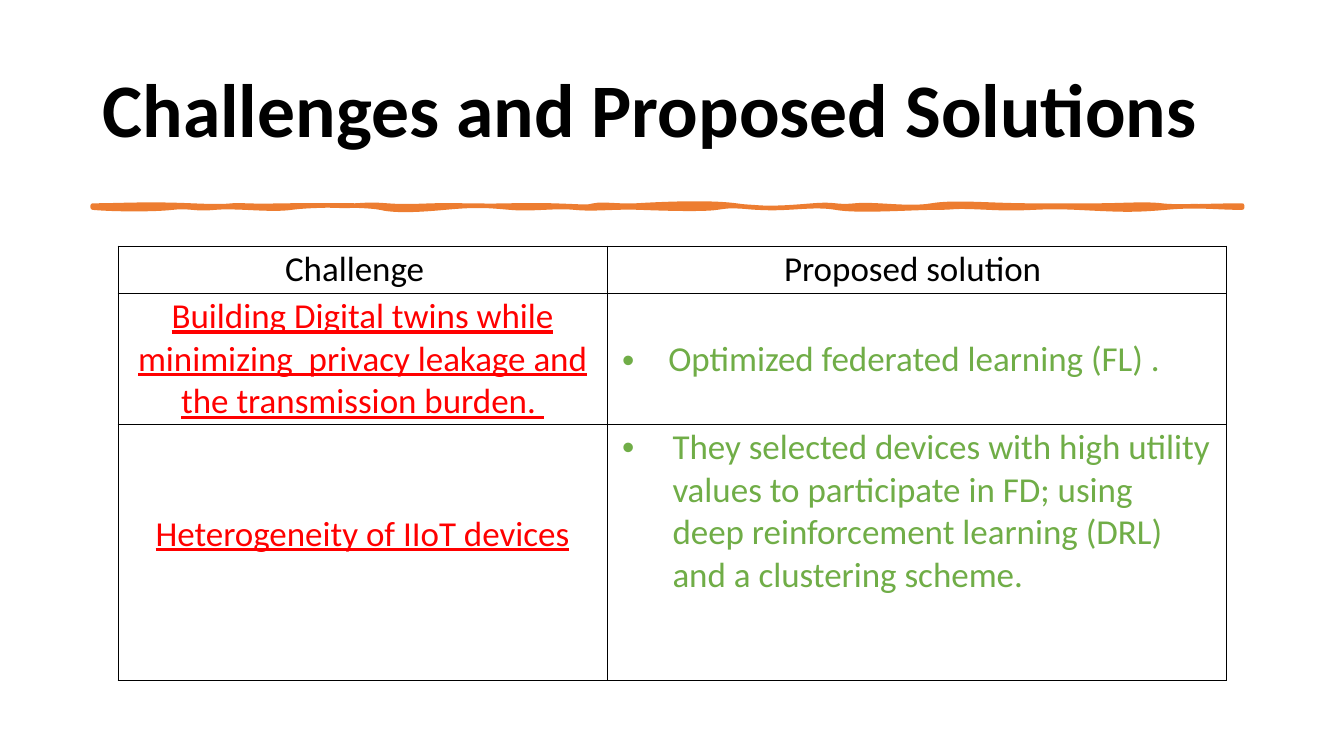
import pptx
import pptx.dml.color
import pptx.enum.text
import pptx.oxml
import pptx.oxml.ns
import pptx.util
from lxml import etree

Inches, Pt = pptx.util.Inches, pptx.util.Pt
Align, Anchor = pptx.enum.text.PP_ALIGN, pptx.enum.text.MSO_ANCHOR
qn = pptx.oxml.ns.qn

# Content
TITLE = "Challenges and Proposed Solutions"
HEADER, CHALLENGE, SOLUTION = "000000", "FF0000", "70AD47"
BLACK, ORANGE = "000000", "ED7D31"
LINE = 0.43  # height of one line of table text

# Each cell: text, colour, hanging indent (0 = centred, no bullet), lines left free above
ROWS = [
    [("Challenge  ", HEADER, 0, 0), ("Proposed solution ", HEADER, 0, 0)],
    [("Building Digital twins while minimizing  privacy leakage and "
      "the transmission burden. ", CHALLENGE, 0, 0),
     (" Optimized federated learning (FL) .", SOLUTION, 0.38, 1)],
    [("Heterogeneity of IIoT devices", CHALLENGE, 0, 2),
     ("They selected devices with high utility values to participate in FD; using "
      "deep reinforcement learning (DRL) and a clustering scheme.", SOLUTION, 0.5, 0)],
]
COLUMN_WIDTHS = [4.85, 6.14]
ROW_HEIGHTS = [0.47, 1.3, 2.54]

# Brush stroke: start, then control 1, control 2 and end of each curve
STROKE_START = (0.92, 2.04)
TOP_EDGE = [
    (1.19, 2.04, 1.44, 2.02, 1.9, 2.04), (2.37, 2.06, 2.2, 2.03, 2.44, 2.04),
    (2.67, 2.05, 3.03, 2.03, 3.31, 2.04), (3.6, 2.05, 3.59, 2.02, 3.84, 2.04),
    (4.1, 2.06, 4.23, 2.03, 4.6, 2.04), (4.98, 2.05, 5.14, 2.03, 5.48, 2.04),
    (5.81, 2.05, 5.81, 2.06, 5.89, 2.04), (5.98, 2.02, 6.15, 2.05, 6.31, 2.04),
    (6.47, 2.03, 7.01, 2.0, 7.3, 2.04), (7.59, 2.08, 7.81, 2.06, 8.06, 2.04),
    (8.31, 2.02, 8.27, 2.06, 8.48, 2.04), (8.68, 2.02, 9.01, 2.08, 9.24, 2.04),
    (9.47, 2.0, 9.82, 2.04, 10.23, 2.04), (10.63, 2.04, 10.63, 2.04, 10.87, 2.04),
    (11.12, 2.04, 11.36, 2.02, 11.52, 2.04), (11.68, 2.06, 12.03, 2.04, 12.32, 2.04),
]
RIGHT_END = [(12.32, 2.05, 12.32, 2.05, 12.32, 2.06)]
BOTTOM_EDGE = [
    (12.05, 2.06, 11.89, 2.03, 11.56, 2.06), (11.22, 2.09, 11.1, 2.08, 10.68, 2.06),
    (10.27, 2.04, 10.23, 2.08, 9.81, 2.06), (9.39, 2.04, 9.52, 2.06, 9.28, 2.06),
    (9.04, 2.06, 8.51, 2.1, 8.29, 2.06), (8.06, 2.02, 7.82, 2.08, 7.53, 2.06),
    (7.24, 2.04, 7.25, 2.04, 7.11, 2.06), (6.98, 2.08, 6.61, 2.07, 6.35, 2.06),
    (6.09, 2.05, 5.9, 2.08, 5.7, 2.06), (5.51, 2.04, 5.28, 2.08, 5.06, 2.06),
    (4.83, 2.04, 4.73, 2.03, 4.41, 2.06), (4.09, 2.09, 3.9, 2.09, 3.77, 2.06),
    (3.63, 2.03, 3.1, 2.03, 2.89, 2.06), (2.68, 2.09, 2.35, 2.04, 2.13, 2.06),
    (1.92, 2.08, 1.89, 2.04, 1.71, 2.06), (1.54, 2.08, 1.14, 2.08, 0.92, 2.06),
]


def rgb(value):
    return pptx.dml.color.RGBColor.from_string(value)


def assign(target, values):
    for name, value in values.items():
        setattr(target, name, value)


def style_font(font, color, **values):
    assign(font, {"name": "Calibri", **values})
    font.color.rgb = rgb(color)


def curve_segments(shape):
    """Turn each three line segments of a freeform into one cubic curve."""
    segments = list(shape._element.iter(qn("a:lnTo")))
    for first, second, third in zip(segments[::3], segments[1::3], segments[2::3]):
        first.tag = qn("a:cubicBezTo")
        for segment in (second, third):
            first.append(segment[0])
            segment.getparent().remove(segment)


def add_bullet(paragraph, indent):
    properties = paragraph._p.get_or_add_pPr()
    properties.set("marL", str(Inches(indent)))
    properties.set("indent", str(-Inches(indent)))
    etree.SubElement(properties, qn("a:buFont")).set("typeface", "Arial")
    etree.SubElement(properties, qn("a:buChar")).set("char", "•")


def add_borders(cell):
    properties = cell._tc.get_or_add_tcPr()
    for position, side in enumerate(("lnL", "lnR", "lnT", "lnB")):
        properties.insert(position, pptx.oxml.parse_xml(
            f'<a:{side} {pptx.oxml.ns.nsdecls("a")} w="{Pt(0.75)}"><a:solidFill>'
            f'<a:srgbClr val="{BLACK}"/></a:solidFill></a:{side}>'))


def fill_cell(cell, text, color, indent, lines_above):
    assign(cell, {"margin_left": Inches(0.15), "margin_right": Inches(0.15),
                  "margin_top": Inches(0.02 + lines_above * LINE),
                  "margin_bottom": 0, "vertical_anchor": Anchor.TOP})
    cell.fill.background()
    add_borders(cell)
    paragraph = cell.text_frame.paragraphs[0]
    if indent:
        add_bullet(paragraph, indent)
    else:
        paragraph.alignment = Align.CENTER
    run = paragraph.add_run()
    run.text = text
    style_font(paragraph.font, color, size=Pt(25))
    style_font(run.font, color, size=Pt(25), underline=color == CHALLENGE)


def add_title(slide):
    frame = slide.shapes.add_textbox(
        Inches(0.92), Inches(0.4), Inches(11.5), Inches(1.45)).text_frame
    assign(frame, {"word_wrap": True, "vertical_anchor": Anchor.MIDDLE})
    heading = frame.paragraphs[0]
    heading.line_spacing = 0.9
    run = heading.add_run()
    run.text = TITLE
    style_font(run.font, BLACK, size=Pt(54), bold=True)


def add_brush_stroke(slide):
    builder = slide.shapes.build_freeform(*map(Inches, STROKE_START))
    builder.add_line_segments(
        [(Inches(curve[i]), Inches(curve[i + 1]))
         for curve in TOP_EDGE + RIGHT_END + BOTTOM_EDGE for i in (0, 2, 4)],
        close=True)
    stroke = builder.convert_to_shape()
    curve_segments(stroke)
    stroke.shadow.inherit = False
    stroke.fill.solid()
    stroke.fill.fore_color.rgb = rgb(ORANGE)
    stroke.line.color.rgb = rgb(ORANGE)
    stroke.line.width = Pt(3.25)
    etree.SubElement(stroke.line._get_or_add_ln(), qn("a:round"))


def add_solutions(slide):
    table = slide.shapes.add_table(
        len(ROWS), len(COLUMN_WIDTHS), Inches(1.17), Inches(2.44),
        Inches(sum(COLUMN_WIDTHS)), Inches(sum(ROW_HEIGHTS))).table
    assign(table, {"first_row": False, "horz_banding": False})
    for column, width in zip(table.columns, COLUMN_WIDTHS):
        column.width = Inches(width)
    for row, height, contents in zip(table.rows, ROW_HEIGHTS, ROWS):
        row.height = Inches(height)
        for cell, content in zip(row.cells, contents):
            fill_cell(cell, *content)


def main():
    deck = pptx.Presentation()
    assign(deck, {"slide_width": Inches(13.33), "slide_height": Inches(7.5)})
    slide = deck.slides.add_slide(deck.slide_layouts[6])
    add_title(slide)
    add_brush_stroke(slide)
    add_solutions(slide)
    deck.save("out.pptx")


if __name__ == "__main__":
    main()
